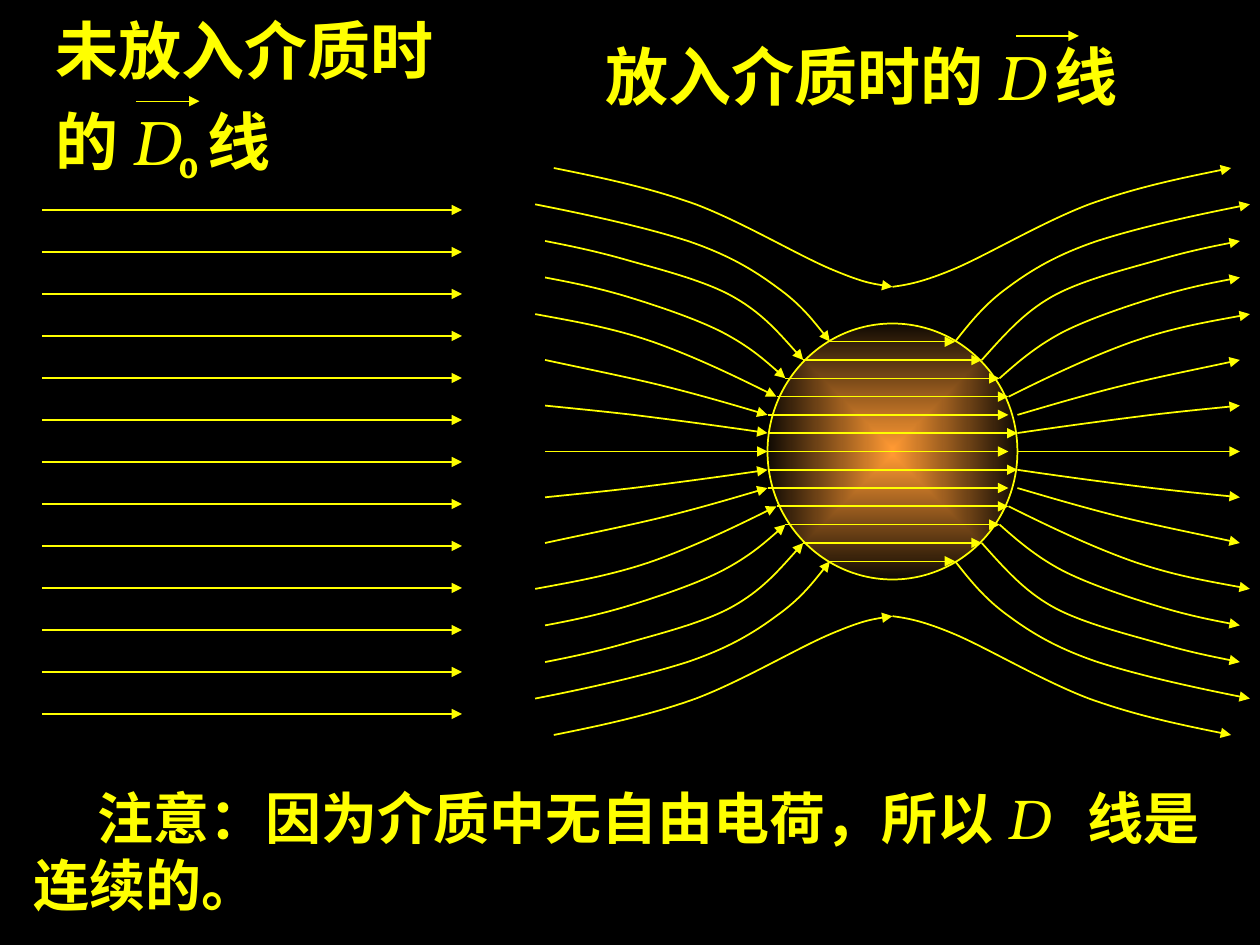
from itertools import product
from typing import NamedTuple

from lxml import etree
from pptx import Presentation
from pptx import util as u
from pptx.dml.color import RGBColor
from pptx.enum import shapes, text
from pptx.oxml.ns import qn

HUE = {"back": "000000", "ink": "FFFF00", "core": "FF9933", "rim": "100A03"}
FONT = "TeX Gyre Bonum"
MID_X, MID_Y = 510, 258
STEP = 10.45  # gap between field lines inside the ball
BALL_W, BALL_H = 142.8, 146.3
HALF = BALL_W / 2
FAR = 198.5


class Row(NamedTuple):
    """A straight field line; x is measured from the ball's centre."""
    num: int
    left: float
    right: float
    width: float


class Run(NamedTuple):
    words: str
    form: dict
    marks: dict = {}


class Box(NamedTuple):
    left: float
    top: float
    width: float
    height: float
    paras: list
    wrap: bool = False
    space: float = 1.0
    indent: float = 0


ROWS = [
    Row(0, -FAR, -HALF, 1), Row(0, HALF, FAR, 1), Row(0, -76.3, 66.2, 0.75),
    Row(-1, -HALF, HALF, 1), Row(1, -HALF, HALF, 1),
    Row(-2, -HALF, 66.2, 1), Row(2, -HALF, 66.2, 0.75),
    Row(-3, -66.2, 66.2, 1), Row(3, -66.2, 66.2, 1),
    Row(-4, -61.2, 61.2, 0.75), Row(4, -61.2, 61.2, 0.75),
    Row(-5, -51, 51, 1), Row(5, -51, 51, 1),
    Row(-6, -35.8, 35.8, 0.75), Row(6, -35.8, 35.8, 0.75),
]

# Bézier points of one quadrant, from the ball outward, relative to its centre.
CURVES = [
    [(0, 94.1), (8.6, 95.3), (17.3, 96.7), (36, 104.6), (54.5, 112.5),
     (86.2, 131.3), (112.3, 141.2), (138.7, 150.7), (166.1, 156.5), (193.5, 162)],
    [(35.8, 62.8), (44.4, 73.7), (53, 84.5), (66.3, 94), (79.7, 103.9),
     (94.1, 112.5), (117.1, 120.3), (140.2, 127.7), (171.9, 134.9), (204.2, 141.2)],
    [(51, 52.3), (63.1, 65.7), (74.7, 79.4), (91.9, 88.9), (108.5, 98.1),
     (135.1, 104.6), (153.1, 109.8), (170.4, 114.7), (184.8, 117.6), (FAR, 120.3)],
    [(61.2, 41.8), (71.1, 50.6), (81.9, 60), (97, 68), (112.1, 75.8),
     (135.9, 83.7), (153.1, 88.9), (169.7, 93.8), (184.1, 96.7), (FAR, 99.4)],
    [(66.3, 31.3), (90.5, 43.4), (115, 54.9), (137.4, 62.8),
     (160.3, 70.7), (181.9, 74.4), (204.2, 78.5)],
    [(HALF, 20.9), (89.1, 26.1), (106.3, 31.2), (127.4, 36.6),
     (148.8, 42), (174, 47), (FAR, 52.3)],
    [(HALF, 10.5), (99.1, 14.6), (126.5, 18.2), (148.1, 20.9),
     (169, 23.3), (184.1, 24.7), (FAR, 26.2)],
]

BIG = {"size": u.Pt(36), "bold": True}
SYM = {"size": u.Pt(36), "bold": False, "italic": True}
SUB = {"size": u.Pt(28), "bold": True}
NOTE = {"size": u.Pt(32), "bold": True}
LOW = {"baseline": "-25000"}

BOXES = [
    Box(339, 18, 322, 53.3, [[
        Run("放入介质时的 ", BIG), Run("D", SYM), Run(" ", SUB, LOW), Run("线", BIG)]]),
    Box(24.5, -5.8, 230.4, 114.5, [
        [Run("未放入介质时", BIG)],
        [Run("的 ", BIG), Run("D", SYM), Run("0 ", SUB, LOW), Run("线", BIG)]],
        space=1.2),
    Box(12.2, 444.2, 689.8, 84.2, [[
        Run("注意：因为介质中无自由电荷，所以 ", NOTE),
        Run("D", {**SYM, "size": u.Pt(32)}), Run(" ", NOTE, {"spc": "1100"}),
        Run("线是连续的。", NOTE)]], wrap=True, indent=36.5),
]


def rgb(name: str) -> RGBColor:
    return RGBColor.from_string(HUE[name])


def ink(line, width: float, end: str = "") -> None:
    """Colour a line and put an arrowhead on its headEnd or tailEnd."""
    line.color.rgb = rgb("ink")
    line.width = u.Pt(width)
    if end:
        etree.SubElement(line._get_or_add_ln(), qn("a:" + end), type="triangle")


def arrow(tree, left: float, right: float, y: float, width: float) -> None:
    link = tree.add_connector(shapes.MSO_CONNECTOR.STRAIGHT,
                              u.Pt(left), u.Pt(y), u.Pt(right), u.Pt(y))
    ink(link.line, width, "tailEnd")
    etree.SubElement(link.element.spPr, qn("a:effectLst"))


def curve(tree, points: list, side: int, up: int) -> None:
    """Draw a Bézier field line mirrored into the quadrant given by two signs."""
    spots = [(u.Pt(MID_X + side * x), u.Pt(MID_Y + up * y)) for x, y in points]
    pen = tree.build_freeform(*spots[0])
    pen.add_line_segments(spots[1:], close=False)
    shape = pen.convert_to_shape()
    legs = list(shape.element.iter(qn("a:lnTo")))
    for i in range(0, len(legs), 3):
        bend = etree.Element(qn("a:cubicBezTo"))
        legs[i].addprevious(bend)
        for leg in legs[i:i + 3]:
            bend.append(leg[0])
            leg.getparent().remove(leg)
    shape.fill.background()
    ink(shape.line, 1, "tailEnd" if side > 0 else "headEnd")
    shape.shadow.inherit = False


def ball(tree) -> None:
    disc = tree.add_shape(shapes.MSO_SHAPE.OVAL, u.Pt(MID_X - HALF),
                          u.Pt(MID_Y - BALL_H / 2), u.Pt(BALL_W), u.Pt(BALL_H))
    disc.fill.gradient()
    for stop, name in zip(disc.fill.gradient_stops, ("core", "rim")):
        stop.color.rgb = rgb(name)
    lin = next(disc.element.iter(qn("a:lin")))
    glow = etree.Element(qn("a:path"), path="rect")
    etree.SubElement(glow, qn("a:fillToRect"), dict.fromkeys("ltrb", "50000"))
    lin.getparent().replace(lin, glow)
    ink(disc.line, 1)
    disc.shadow.inherit = False


def write(tree, box: Box) -> None:
    frame = tree.add_textbox(*map(u.Pt, box[:4])).text_frame
    frame.word_wrap = box.wrap
    frame.auto_size = text.MSO_AUTO_SIZE.SHAPE_TO_FIT_TEXT
    for i, runs in enumerate(box.paras):
        para = frame.add_paragraph() if i else frame.paragraphs[0]
        para.line_spacing = box.space
        if box.indent:
            para._p.get_or_add_pPr().set("indent", str(u.Pt(box.indent)))
        for item in runs:
            run = para.add_run()
            run.text = item.words
            run.font.name = FONT
            run.font.color.rgb = rgb("ink")
            for key, val in item.form.items():
                setattr(run.font, key, val)
            for key, val in item.marks.items():
                run._r.get_or_add_rPr().set(key, val)


def main() -> None:
    deck = Presentation()
    deck.slide_width, deck.slide_height = u.Pt(720), u.Pt(540)
    slide = deck.slides.add_slide(deck.slide_layouts[6])
    slide.background.fill.solid()
    slide.background.fill.fore_color.rgb = rgb("back")
    tree = slide.shapes
    ball(tree)
    for points, side, up in product(CURVES, (-1, 1), (-1, 1)):
        curve(tree, points, side, up)
    for row in ROWS:
        arrow(tree, MID_X + row.left, MID_X + row.right,
              MID_Y + row.num * STEP, row.width)
    for i in range(13):
        arrow(tree, 24, 264, 120 + 24 * i, 0.75)
    for box in BOXES:
        write(tree, box)
    for left, y in ((580.5, 20.5), (78, 57.8)):  # vector signs over D
        arrow(tree, left, left + 36, y, 0.75)
    deck.save("out.pptx")


if __name__ == "__main__":
    main()
